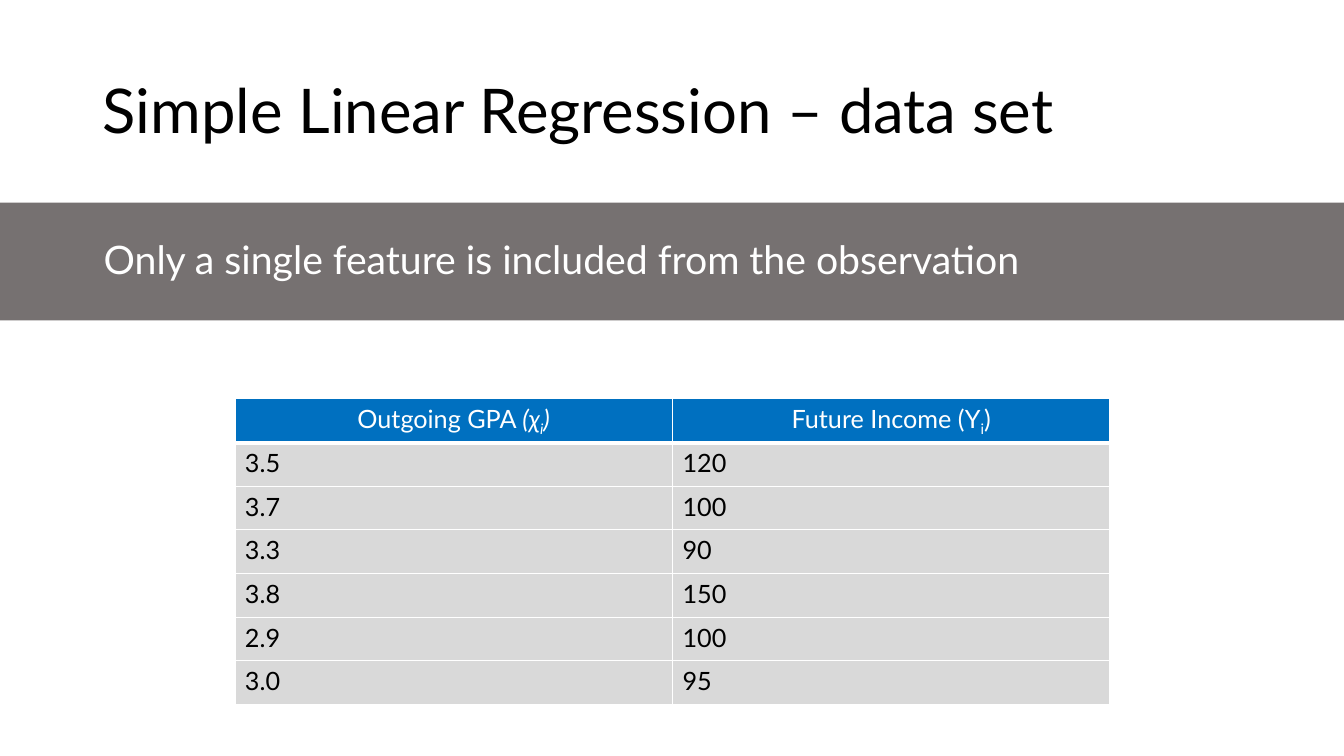
from lxml import etree
from pptx import Presentation
from pptx.dml.color import RGBColor
from pptx.enum import shapes, text
from pptx.oxml import ns
from pptx.util import Inches, Pt

COLORS = {
    "black": "000000",
    "white": "FFFFFF",
    "band": "767171",
    "header": "0070C0",
    "body": "D9D9D9",
}
FONT = "Lato"

# Each header is a list of (text, italic, subscript) runs
HEADERS = [
    [("Outgoing GPA ", False, False), ("(χ", True, False),
     ("i", True, True), (")", True, False)],
    [("Future Income (Y", False, False), ("i", False, True),
     (")", False, False)],
]
OBSERVATIONS = [("3.5", "120"), ("3.7", "100"), ("3.3", "90"),
                ("3.8", "150"), ("2.9", "100"), ("3.0", "95")]


def rgb(name):
    return RGBColor.from_string(COLORS[name])


def add_run(paragraph, wording, size, color, italic=False, subscript=False):
    run = paragraph.add_run()
    run.text = wording
    formats = {"name": FONT, "size": Pt(size), "italic": italic}
    for attribute, value in formats.items():
        setattr(run.font, attribute, value)
    run.font.color.rgb = rgb(color)
    if subscript:
        run.font._element.set("baseline", "-25000")


def add_line(slide, box, wording, size, color):
    """One line of text, centred vertically in its box."""
    frame = slide.shapes.add_textbox(*map(Inches, box)).text_frame
    frame.word_wrap = True
    frame.vertical_anchor = text.MSO_ANCHOR.MIDDLE
    paragraph = frame.paragraphs[0]
    paragraph.line_spacing = 0.9
    add_run(paragraph, wording, size, color)


def add_band(slide, box):
    """Full-width band with the key message."""
    left, top, width, height = box
    band = slide.shapes.add_shape(shapes.MSO_SHAPE.RECTANGLE, *map(Inches, box))
    band.shadow.inherit = False
    band.fill.solid()
    band.fill.fore_color.rgb = rgb("band")
    band.line.fill.background()
    add_line(slide, (left + 0.93, top, 10.31, height),
             "Only a single feature is included from the observation", 28, "white")


def style_cell(cell, fill, bottom_width=1):
    """White borders first, then the fill, as the schema orders them."""
    properties = cell._tc.get_or_add_tcPr()
    widths = {"a:lnL": 1, "a:lnR": 1, "a:lnT": 1, "a:lnB": bottom_width}
    for tag, width in widths.items():
        border = etree.SubElement(properties, ns.qn(tag), w=str(Pt(width)))
        solid = etree.SubElement(border, ns.qn("a:solidFill"))
        etree.SubElement(solid, ns.qn("a:srgbClr"), val=COLORS["white"])
    cell.fill.solid()
    cell.fill.fore_color.rgb = rgb(fill)


def add_data_table(slide, box):
    """Header row and one row per observation."""
    left, top, width, height = box
    row_count = len(OBSERVATIONS) + 1
    table = slide.shapes.add_table(row_count, len(HEADERS),
                                   *map(Inches, box)).table
    for column in table.columns:
        column.width = Inches(width / len(HEADERS))
    for row in table.rows:
        row.height = Inches(height / row_count)

    for column, runs in enumerate(HEADERS):
        cell = table.cell(0, column)
        style_cell(cell, "header", bottom_width=3)
        paragraph = cell.text_frame.paragraphs[0]
        paragraph.alignment = text.PP_ALIGN.CENTER
        for wording, italic, subscript in runs:
            add_run(paragraph, wording, 18, "white", italic, subscript)

    for row, observation in enumerate(OBSERVATIONS, start=1):
        for column, value in enumerate(observation):
            cell = table.cell(row, column)
            style_cell(cell, "body")
            add_run(cell.text_frame.paragraphs[0], value, 18, "black")


def main():
    deck = Presentation()
    deck.slide_width = Inches(13.33)
    deck.slide_height = Inches(7.5)
    slide = deck.slides.add_slide(deck.slide_layouts[6])

    add_line(slide, (0.92, 0.4, 11.5, 1.45),
             "Simple Linear Regression – data set", 44, "black")
    add_band(slide, (0, 2.01, 13.33, 1.17))
    add_data_table(slide, (2.33, 3.95, 8.68, 3.03))
    deck.save("out.pptx")


if __name__ == "__main__":
    main()
